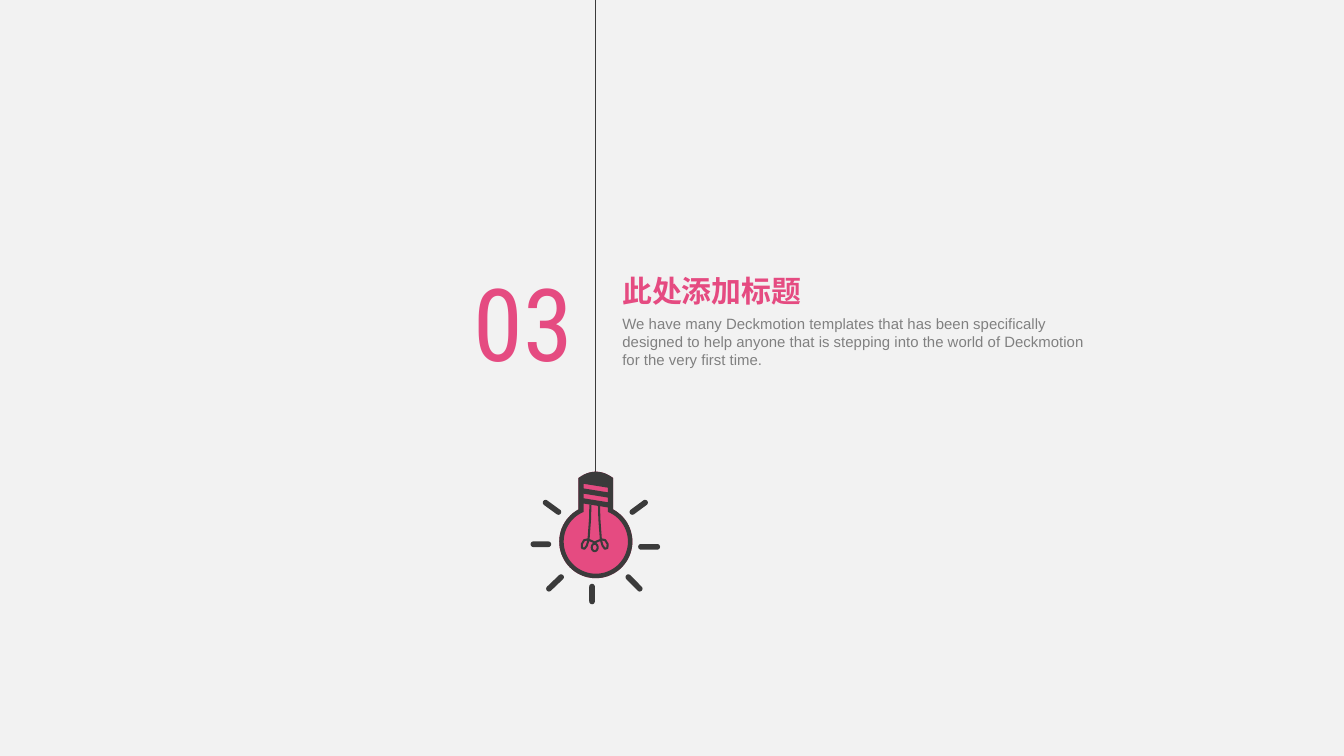
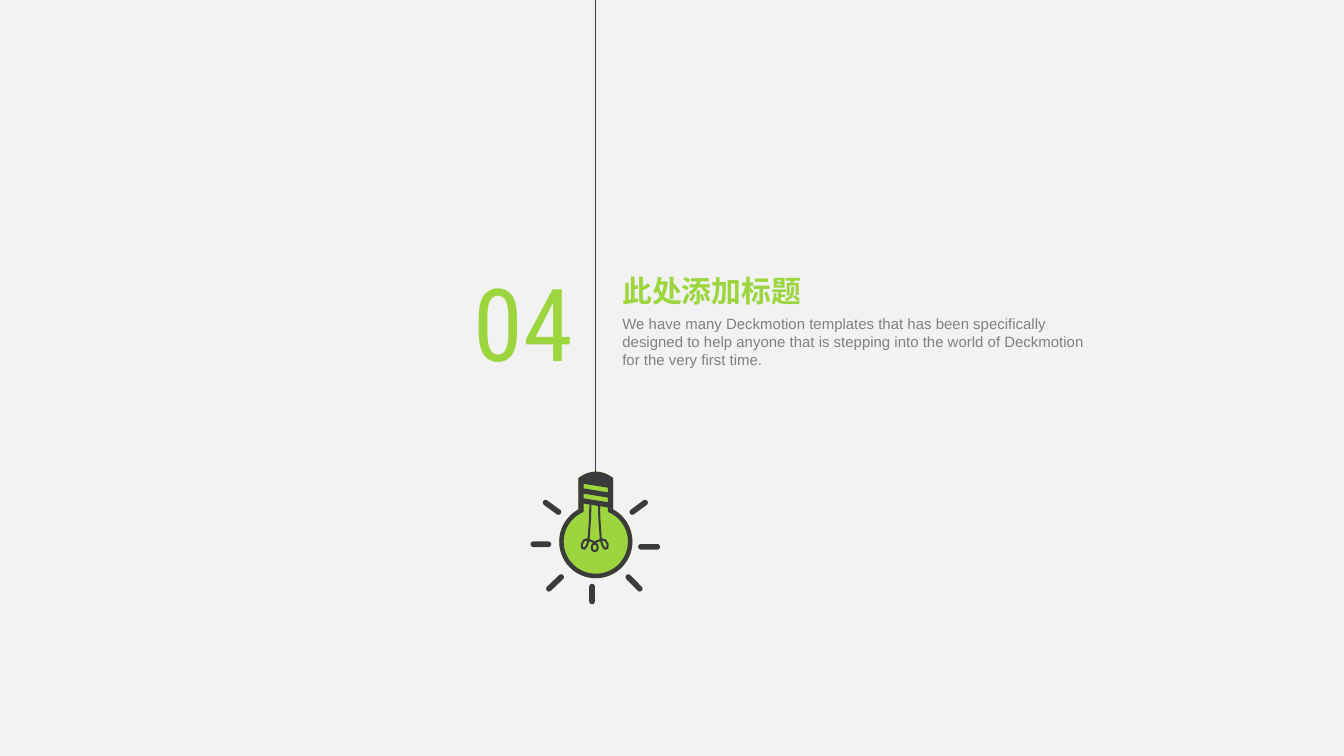
import math
from dataclasses import dataclass
from typing import Optional

import pptx
import pptx.dml.color
import pptx.enum.shapes
import pptx.enum.text
import pptx.shapes.autoshape
import pptx.shapes.shapetree
import pptx.slide
import pptx.util
from lxml import etree

Pt = pptx.util.Pt
RGBColor = pptx.dml.color.RGBColor
Align = pptx.enum.text.PP_ALIGN
Point = tuple[float, float]
Contour = list[Point]


@dataclass(frozen=True)
class Theme:
    background: RGBColor = RGBColor(0xF2, 0xF2, 0xF2)
    ink: RGBColor = RGBColor(0x3B, 0x3B, 0x3B)
    body: RGBColor = RGBColor(0x80, 0x80, 0x80)
    pink: RGBColor = RGBColor(0xE5, 0x4B, 0x81)
    green: RGBColor = RGBColor(0x9D, 0xD5, 0x3E)
    text_font: str = "Arial"
    number_font: str = "Roboto Condensed"
    title_size: float = 16
    body_size: float = 8
    number_size: float = 54


@dataclass(frozen=True)
class Section:
    number: str
    title: str
    body: str
    accent: RGBColor


@dataclass(frozen=True)
class Box:
    left: float
    top: float
    width: float
    height: float
    margins: tuple[float, float, float, float] = (0, 0, 0, 0)


@dataclass(frozen=True)
class TextStyle:
    font: str
    size: float
    color: RGBColor
    bold: bool = False
    alignment: Align = Align.LEFT


@dataclass(frozen=True)
class Ray:
    start: Point
    end: Point


THEME = Theme()
TITLE = "此处添加标题"
BODY = (
    "We have many Deckmotion templates that has been specifically designed to help "
    "anyone that is stepping into the world of Deckmotion for the very first time."
)
SECTIONS = [
    Section("03", TITLE, BODY, THEME.pink),
    Section("04", TITLE, BODY, THEME.green),
]

TITLE_BOX = Box(333.4, 146.2, 246.2, 19.4)
BODY_BOX = Box(333.4, 164.9, 260.6, 36, (0, 3.6, 7.2, 3.6))
NUMBER_BOX = Box(247, 139.7, 67, 65.5)

BULB_CENTER: Point = (319.2, 290.2)
GLASS_RADIUS, INNER_RADIUS = 19.6, 17.2
NECK_HALF, INNER_HALF = 9.3, 6.5
CAP_SHOULDER, CAP_RISE = 256.1, 3.4
BAND_TOP, BAND_PITCH, BAND_HEIGHT, BAND_SLOPE = 259.2, 5.3, 2.5, 2.1
FILAMENT_AXIS = 318.6
FILAMENT_HALF: Contour = [
    (-2.3, 270.3), (-2.5, 278), (-3.3, 288.9), (-5.6, 289.4), (-6.9, 291.5),
    (-6.8, 293.6), (-5.4, 294), (-4.2, 292.3), (-3.3, 289.2), (-1.6, 289.9), (0, 290.7),
]
FILAMENT_WIDTH = 1.1
RAY_WIDTH = 3.0
RAYS = [
    Ray((343.4, 293), (352.1, 293)),
    Ray((317.2, 314.3), (317.2, 322.2)),
    Ray((285.8, 291.6), (293.8, 291.6)),
    Ray((292.3, 269.3), (299.2, 274.3)),
    Ray((345.6, 269.3), (338.8, 274.3)),
    Ray((300.6, 309.2), (294.1, 315.4)),
    Ray((336.6, 309.2), (342.7, 315.4)),
]


def arc(center: Point, radius_x: float, radius_y: float,
        start: float, end: float, steps: int) -> Contour:
    angles = [start + (end - start) * step / steps for step in range(steps + 1)]
    return [(center[0] + radius_x * math.sin(angle), center[1] - radius_y * math.cos(angle))
            for angle in angles]


def glass(radius: float, neck_half: float) -> Contour:
    opening = math.asin(neck_half / radius)
    return arc(BULB_CENTER, radius, radius, opening, 2 * math.pi - opening, 60)


def bulb_outline() -> Contour:
    steps = [step / 6 for step in range(-6, 7)]
    cap = [(BULB_CENTER[0] + NECK_HALF * step, CAP_SHOULDER - CAP_RISE * (1 - step ** 2))
           for step in steps]
    return glass(GLASS_RADIUS, NECK_HALF) + cap


def bulb_openings() -> list[Contour]:
    left, right = BULB_CENTER[0] - INNER_HALF, BULB_CENTER[0] + INNER_HALF
    tops = [BAND_TOP + BAND_PITCH * index for index in range(3)]
    bands = [
        [(left, top), (right, top + BAND_SLOPE),
         (right, top + BAND_SLOPE + BAND_HEIGHT), (left, top + BAND_HEIGHT)]
        for top in tops[:2]
    ]
    inside = glass(INNER_RADIUS, INNER_HALF) + [(left, tops[2]), (right, tops[2] + BAND_SLOPE)]
    return bands + [inside]


def filament() -> list[Contour]:
    mirrored = [(-x, y) for x, y in reversed(FILAMENT_HALF[:-1])]
    wire = [(FILAMENT_AXIS + x, y) for x, y in FILAMENT_HALF + mirrored]
    return [wire, arc((FILAMENT_AXIS, 293.3), 1.6, 2, 0, 2 * math.pi, 16)]


def capsule(ray: Ray) -> Contour:
    radius = RAY_WIDTH / 2
    heading = math.atan2(ray.end[0] - ray.start[0], ray.start[1] - ray.end[1])
    quarter = math.pi / 2
    return (arc(ray.end, radius, radius, heading - quarter, heading + quarter, 8)
            + arc(ray.start, radius, radius, heading + quarter, heading + 3 * quarter, 8))


def draw_outline(shapes: pptx.shapes.shapetree.GroupShapes, contours: list[Contour],
                 color: RGBColor, stroke: Optional[float] = None) -> None:
    units = [[(x * 100, y * 100) for x, y in contour] for contour in contours]
    closed = stroke is None
    builder = shapes.build_freeform(*units[0][0], scale=Pt(0.01))
    builder.add_line_segments(units[0][1:], close=closed)
    for contour in units[1:]:
        builder.move_to(*contour[0])
        builder.add_line_segments(contour[1:], close=closed)
    shape = builder.convert_to_shape()
    shape.shadow.inherit = False
    if stroke is None:
        shape.fill.solid()
        shape.fill.fore_color.rgb = color
        shape.line.fill.background()
    else:
        shape.fill.background()
        shape.line.color.rgb = color
        shape.line.width = Pt(stroke)


def draw_bulb(slide: pptx.slide.Slide, accent: RGBColor) -> None:
    shapes = slide.shapes.add_group_shape().shapes
    draw_outline(shapes, [bulb_outline()], accent)
    draw_outline(shapes, [bulb_outline()] + bulb_openings(), THEME.ink)
    draw_outline(shapes, filament(), THEME.ink, FILAMENT_WIDTH)
    for ray in RAYS:
        draw_outline(shapes, [capsule(ray)], THEME.ink)
    cord = shapes.add_connector(pptx.enum.shapes.MSO_CONNECTOR.STRAIGHT,
                                Pt(319), Pt(257), Pt(319), Pt(0))
    cord.line.color.rgb = THEME.ink
    cord.line.width = Pt(1)
    properties = cord.element.spPr
    etree.SubElement(properties, pptx.oxml.ns.qn("a:effectLst"))


def write_text(shape: pptx.shapes.autoshape.Shape, box: Box,
               text: str, style: TextStyle) -> None:
    shape.left, shape.top = Pt(box.left), Pt(box.top)
    shape.width, shape.height = Pt(box.width), Pt(box.height)
    frame = shape.text_frame
    frame.word_wrap = True
    frame.auto_size = pptx.enum.text.MSO_AUTO_SIZE.SHAPE_TO_FIT_TEXT
    frame.vertical_anchor = pptx.enum.text.MSO_ANCHOR.TOP
    (frame.margin_left, frame.margin_top,
     frame.margin_right, frame.margin_bottom) = [Pt(margin) for margin in box.margins]
    paragraph = frame.paragraphs[0]
    paragraph.text = text
    paragraph.alignment = style.alignment
    paragraph.space_before = Pt(0)
    paragraph.font.name = style.font
    paragraph.font.size = Pt(style.size)
    paragraph.font.bold = style.bold
    paragraph.font.color.rgb = style.color


def add_text(slide: pptx.slide.Slide, box: Box, text: str, style: TextStyle) -> None:
    shape = slide.shapes.add_textbox(Pt(box.left), Pt(box.top), Pt(box.width), Pt(box.height))
    write_text(shape, box, text, style)


def add_section(presentation: pptx.presentation.Presentation, section: Section) -> None:
    slide = presentation.slides.add_slide(presentation.slide_layouts.get_by_name("Title Only"))
    draw_bulb(slide, section.accent)
    write_text(slide.shapes.title, TITLE_BOX, section.title,
               TextStyle(THEME.text_font, THEME.title_size, section.accent, bold=True))
    add_text(slide, BODY_BOX, section.body,
             TextStyle(THEME.text_font, THEME.body_size, THEME.body))
    add_text(slide, NUMBER_BOX, section.number,
             TextStyle(THEME.number_font, THEME.number_size, section.accent,
                       alignment=Align.CENTER))


def main() -> None:
    presentation = pptx.Presentation()
    presentation.slide_width, presentation.slide_height = Pt(720), Pt(405)
    background = presentation.slide_master.background.fill
    background.solid()
    background.fore_color.rgb = THEME.background
    for section in SECTIONS:
        add_section(presentation, section)
    presentation.save("out.pptx")


if __name__ == "__main__":
    main()
